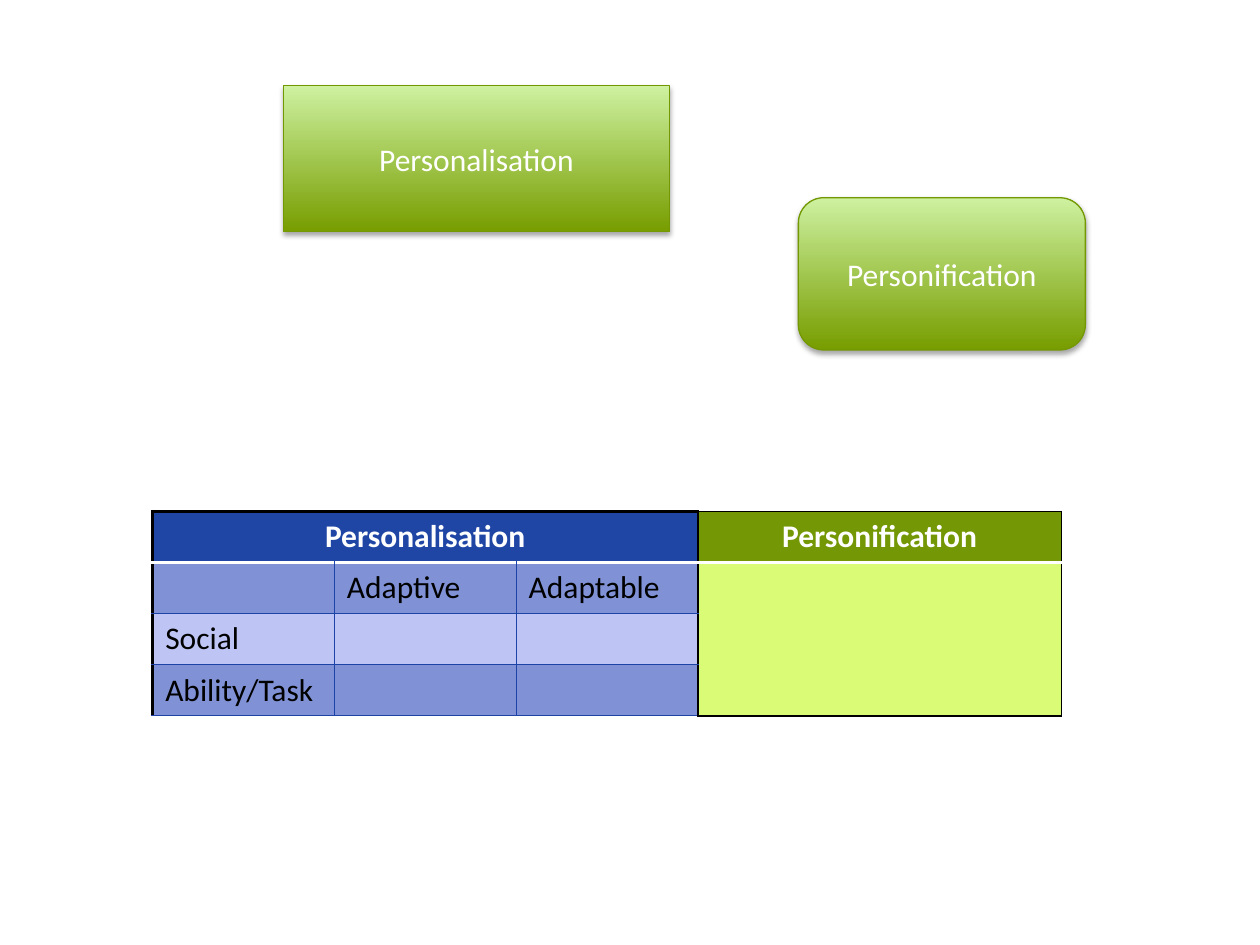
from lxml import etree
from pptx import Presentation
from pptx.dml.color import RGBColor
from pptx.enum.shapes import MSO_SHAPE
from pptx.enum.text import MSO_ANCHOR, PP_ALIGN
from pptx.oxml.ns import qn
from pptx.util import Pt

RECT, ROUNDED = MSO_SHAPE.RECTANGLE, MSO_SHAPE.ROUNDED_RECTANGLE
CENTER, LEFT = PP_ALIGN.CENTER, PP_ALIGN.LEFT
MIDDLE = MSO_ANCHOR.MIDDLE

BLACK, WHITE = "000000", "FFFFFF"
NAVY, MID_BLUE, PALE_BLUE = "2046A5", "8092D5", "BEC5F5"
GREEN, PALE_GREEN = "749805", "DAFB76"
THICK, THIN, RULE, GRID = (BLACK, 2.25), (BLACK, 1), (WHITE, 2), ("1C43A5", 0.75)


def rgb(value):
    return RGBColor.from_string(value)


def add_node(parent, tag, **attrs):
    node = etree.SubElement(parent, qn(tag))
    for name, value in attrs.items():
        node.set(name, str(value))
    return node


class SlideBuilder:
    font, size = "Calibri", 18
    gradient, outline = ("779D00", "CDF1A0"), "739801"

    def __init__(self, slide):
        self.s = slide

    def text(self, tf, words, color, align, bold=False):
        p = tf.paragraphs[0]
        p.alignment = align
        p.font.size = Pt(self.size)
        if words:
            r = p.add_run()
            r.text = words
            r.font.name, r.font.size, r.font.bold = self.font, Pt(self.size), bold
            r.font.color.rgb = rgb(color)

    def shadow(self, sp):
        sp.shadow.inherit = False
        effects = sp._element.spPr.find(qn("a:effectLst"))
        outer = add_node(effects, "a:outerShdw", blurRad=Pt(3.1), dist=Pt(1.8),
                         dir=90 * 60000, rotWithShape=0)
        color = add_node(outer, "a:srgbClr", val=BLACK)
        add_node(color, "a:alpha", val=35000)

    def box(self, kind, words, x, y, w, h):
        sp = self.s.shapes.add_shape(kind, Pt(x), Pt(y), Pt(w), Pt(h))
        sp.fill.gradient()
        sp.fill.gradient_angle = 90
        for i, (stop, color) in enumerate(zip(sp.fill.gradient_stops, self.gradient)):
            stop.position = i
            stop.color.rgb = rgb(color)
        sp.line.color.rgb = rgb(self.outline)
        sp.line.width = Pt(0.75)
        self.shadow(sp)
        sp.text_frame.word_wrap = True
        sp.text_frame.vertical_anchor = MIDDLE
        self.text(sp.text_frame, words, WHITE, CENTER)

    def cell(self, cell, fill, borders, words="", color=BLACK, align=LEFT, bold=False):
        """Style one cell; borders run left, right, top, bottom."""
        tcPr = cell._tc.get_or_add_tcPr()
        for side, (line_color, width) in zip("LRTB", borders):
            ln = add_node(tcPr, f"a:ln{side}", w=Pt(width))
            add_node(add_node(ln, "a:solidFill"), "a:srgbClr", val=line_color)
        cell.fill.solid()
        cell.fill.fore_color.rgb = rgb(fill)
        self.text(cell.text_frame, words, color, align, bold)

    def table(self, x, y, widths, row_height, rows):
        n_rows, n_cols = len(rows) + 1, len(widths)
        last = n_cols - 1
        frame = self.s.shapes.add_table(n_rows, n_cols, Pt(x), Pt(y),
                                        Pt(sum(widths)), Pt(row_height * n_rows))
        table = frame.table
        for column, width in zip(table.columns, widths):
            column.width = Pt(width)
        for row in table.rows:
            row.height = Pt(row_height)
        table.cell(0, 0).merge(table.cell(0, last - 1))
        table.cell(1, last).merge(table.cell(n_rows - 1, last))

        for col in range(last):
            self.cell(table.cell(0, col), NAVY, (THICK, THIN, THICK, RULE),
                      "" if col else "Personalisation", WHITE, CENTER, True)
        self.cell(table.cell(0, last), GREEN, (THIN, THIN, THIN, RULE),
                  "Personification", WHITE, CENTER, True)
        for i, labels in enumerate(rows, 1):
            top = RULE if i == 1 else GRID
            for col, label in enumerate(labels):
                left = GRID if col else THICK
                right = THIN if col == last - 1 else GRID
                self.cell(table.cell(i, col), MID_BLUE if i % 2 else PALE_BLUE,
                          (left, right, top, GRID), label)
            self.cell(table.cell(i, last), PALE_GREEN, (THIN, THIN, RULE, THIN))


def main():
    prs = Presentation()
    prs.slide_width, prs.slide_height = Pt(720), Pt(540)
    blank = prs.slide_layouts[6]
    b = SlideBuilder(prs.slides.add_slide(blank))
    b.box(RECT, "Personalisation", 162, 49, 220.5, 83.5)
    b.box(ROUNDED, "Personification", 456.25, 113, 164, 87)
    b.table(87.25, 292.25, [103.85] * 3 + [207.7], 29.2, [
        ("", "Adaptive", "Adaptable"),
        ("Social", "", ""),
        ("Ability/Task", "", ""),
    ])
    prs.save("out.pptx")


if __name__ == "__main__":
    main()
